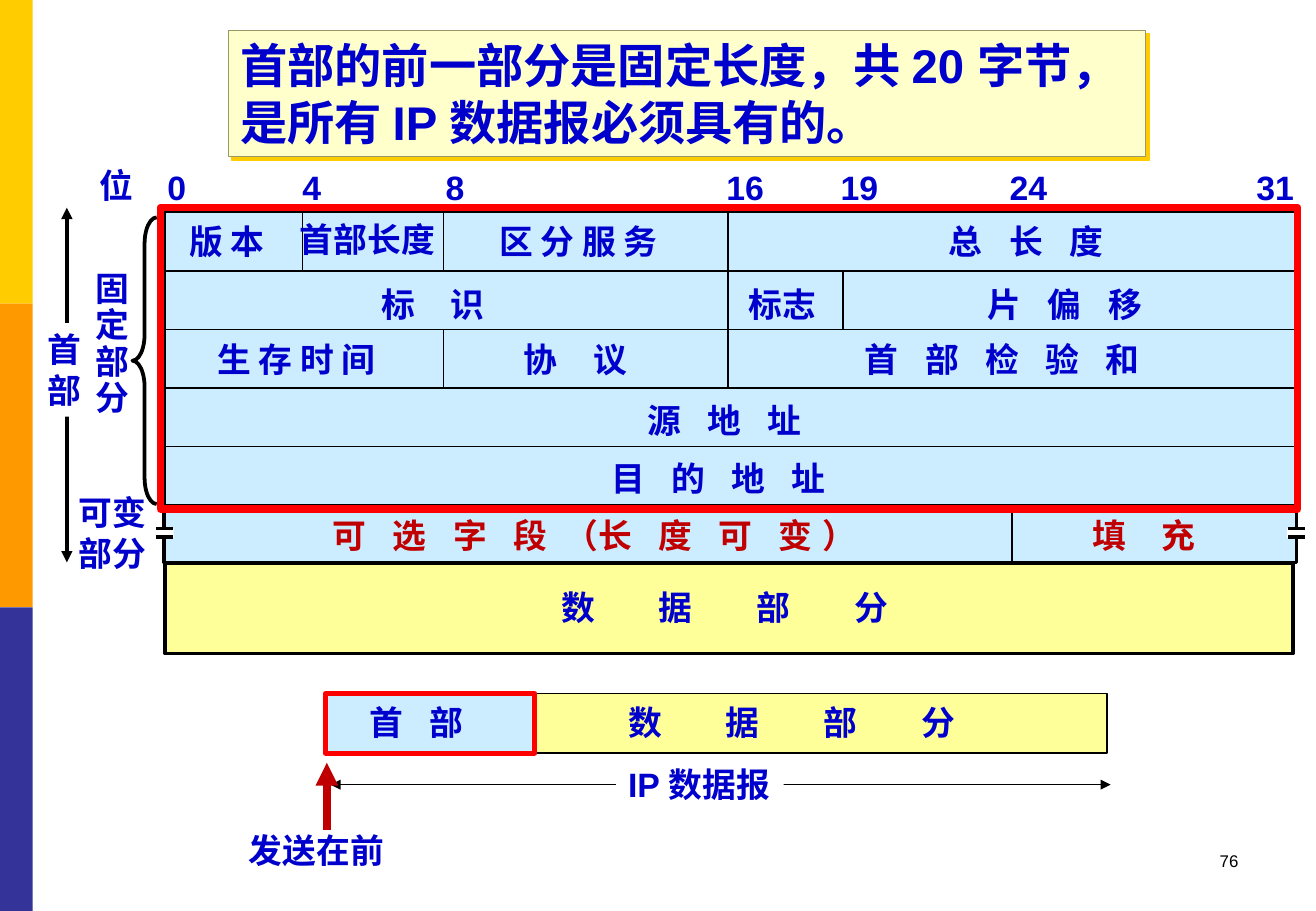
from dataclasses import dataclass

from lxml.etree import SubElement
from pptx import Presentation
from pptx.dml.color import RGBColor
from pptx.enum.shapes import MSO_CONNECTOR as Connector, MSO_SHAPE as Preset
from pptx.enum.text import MSO_ANCHOR as Anchor, PP_ALIGN as Align
from pptx.oxml.ns import qn
from pptx.util import Inches, Pt


@dataclass(frozen=True)
class Theme:
    font: str = "Arial"
    title_size: int = 28
    label_size: int = 20
    number_size: int = 10
    blue: str = "0000CC"
    dark_red: str = "C00000"
    red: str = "FF0000"
    black: str = "000000"
    white: str = "FFFFFF"
    header: str = "CCECFF"
    data: str = "FFFF99"
    title_fill: str = "FFFFCC"
    title_line: str = "999966"
    gold: str = "FFCC00"
    orange: str = "FF9900"
    indigo: str = "333399"


THEME = Theme()

# Extra points after each character of spread-out words
WIDE, WIDER, WIDEST = 5.56, 8.34, 16.68

LABEL_HEIGHT = 0.43
GRID_LEFT, GRID_RIGHT, GRID_TOP, GRID_BOTTOM = 1.34, 10.68, 1.74, 4.64
RULE_TOP, RULE_STEP = 2.23, (4.16 - 2.23) / 4
RULES = [RULE_TOP + row * RULE_STEP for row in range(5)]

BIT_NUMBERS = [("0", 1.28, 0.36), ("4", 2.39, 0.36), ("8", 3.57, 0.36),
               ("16", 5.88, 0.51), ("19", 6.82, 0.51), ("24", 8.21, 0.51),
               ("31", 10.24, 0.51)]

# Column dividers: x, top, bottom
DIVIDERS = [(2.49, GRID_TOP, RULES[0]), (3.65, GRID_TOP, RULES[0]),
            (3.65, RULES[1], RULES[2]), (5.99, GRID_TOP, RULES[2]),
            (6.94, RULES[0], RULES[1]), (8.33, RULES[4], GRID_BOTTOM)]

# Header fields: text, left, top, width, tracking
FIELDS = [("版 本", 1.46, 1.77, 0.84, 0), ("首部长度", 2.37, 1.75, 1.32, 0),
          ("区 分 服 务", 4.01, 1.77, 1.56, 0),
          ("总 长 度", 7.71, 1.77, 1.51, WIDE),
          ("标 识", 3.04, 2.29, 1.07, WIDER), ("标志", 6.06, 2.29, 0.76, 0),
          ("片 偏 移", 8.03, 2.29, 1.51, WIDE),
          ("生 存 时 间", 1.69, 2.74, 1.56, 0),
          ("协 议", 4.21, 2.74, 1.07, WIDER),
          ("首 部 检 验 和", 7.02, 2.74, 2.54, WIDE),
          ("源 地 址", 5.23, 3.24, 1.51, WIDE),
          ("目 的 地 址", 4.93, 3.72, 2.02, WIDE)]


def color(value):
    return RGBColor.from_string(value)


def write_text(shape, text, size=THEME.label_size, fill=THEME.blue, bold=True,
               tracking=0, wrap=False, align=Align.LEFT, spacing=None):
    """Write lines of text; a line may be a list of (words, tracking) runs."""
    frame = shape.text_frame
    frame.word_wrap = wrap
    frame.vertical_anchor = Anchor.TOP
    lines = text.split("\n") if isinstance(text, str) else [text]
    for index, line in enumerate(lines):
        paragraph = frame.paragraphs[0] if index == 0 else frame.add_paragraph()
        paragraph.alignment = align
        if spacing:
            paragraph.line_spacing = spacing
        runs = [(line, tracking)] if isinstance(line, str) else line
        for words, gap in runs:
            run = paragraph.add_run()
            run.text = words
            font = run.font
            font.name, font.size, font.bold = THEME.font, Pt(size), bold
            font.color.rgb = color(fill)
            if gap:
                font._element.set("spc", str(round(gap * 100)))


def add_label(slide, text, left, top, width, height=LABEL_HEIGHT, **style):
    box = slide.shapes.add_textbox(Inches(left), Inches(top), Inches(width), Inches(height))
    write_text(box, text, **style)


def add_block(slide, left, top, width, height, fill=None, line=None, weight=1,
              preset=Preset.RECTANGLE):
    shape = slide.shapes.add_shape(preset, Inches(left), Inches(top),
                                   Inches(width), Inches(height))
    shape.shadow.inherit = False
    if fill:
        shape.fill.solid()
        shape.fill.fore_color.rgb = color(fill)
    else:
        shape.fill.background()
    if line:
        shape.line.color.rgb = color(line)
        shape.line.width = Pt(weight)
    else:
        shape.line.fill.background()
    return shape


def add_line(slide, x1, y1, x2, y2, line=THEME.black, weight=1, arrows=()):
    connector = slide.shapes.add_connector(Connector.STRAIGHT, Inches(x1), Inches(y1),
                                           Inches(x2), Inches(y2))
    connector.line.color.rgb = color(line)
    connector.line.width = Pt(weight)
    properties = connector.element.spPr
    for end in arrows:
        SubElement(properties.find(qn("a:ln")), qn(f"a:{end}"), type="triangle")
    SubElement(properties, qn("a:effectLst"))


def add_break_mark(slide, left, top):
    add_block(slide, left, top, 0.16, 0.08, THEME.white)
    for y in (top, top + 0.07):
        add_line(slide, left + 0.01, y, left + 0.15, y, weight=2)


def add_title(slide):
    title = add_block(slide, 1.88, 0.25, 7.55, 1.04, THEME.title_fill, THEME.title_line, 0.75)
    effects = title.element.spPr.find(qn("a:effectLst"))
    shadow = SubElement(effects, qn("a:outerShdw"), dist=str(Pt(2.8)), dir="2700000",
                        algn="ctr", rotWithShape="0")
    SubElement(shadow, qn("a:srgbClr"), val=THEME.gold)
    write_text(title, "首部的前一部分是固定长度，共 20 字节，是所有 IP 数据报必须具有的。",
               size=THEME.title_size, wrap=True)


def add_header_grid(slide):
    add_block(slide, 1.35, GRID_TOP, 9.32, 2.89, THEME.header, THEME.black, 2)
    add_block(slide, 1.36, GRID_BOTTOM, 9.28, 0.74, THEME.data, THEME.black, 2.25)
    for y in RULES:
        add_line(slide, GRID_LEFT, y, GRID_RIGHT, y)
    for x, top, bottom in DIVIDERS:
        add_line(slide, x, top, x, bottom)
    add_label(slide, "位", 0.72, 1.31, 0.48)
    for number, left, width in BIT_NUMBERS:
        add_label(slide, number, left, 1.32, width)
    for text, left, top, width, tracking in FIELDS:
        add_label(slide, text, left, top, width, tracking=tracking)
    add_label(slide, [("可 选 字 段", WIDE), (" （", 0), ("长 度 可 变）", WIDE)],
              2.64, 4.19, 4.56, fill=THEME.dark_red)
    add_label(slide, "填 充", 8.89, 4.19, 1.07, fill=THEME.dark_red, tracking=WIDER)
    add_label(slide, "数 据 部 分", 4.52, 4.78, 3.45, tracking=WIDEST, wrap=True)
    for left in (1.27, 10.59):
        add_break_mark(slide, left, 4.35)


def add_side_labels(slide):
    add_label(slide, "固\n定\n部\n分", 0.69, 2.19, 0.48, 1.31, spacing=0.9)
    add_label(slide, "可变\n部分", 0.55, 4, 0.76, 0.77)
    add_line(slide, 0.55, 1.71, 0.55, 4.63, weight=2.25, arrows=("headEnd", "tailEnd"))
    header = add_block(slide, 0.29, 2.66, 0.48, 0.77, THEME.white)
    write_text(header, "首\n部")
    brace = add_block(slide, 1.09, 1.79, 0.2, 2.36, line=THEME.black, weight=2.25,
                      preset=Preset.LEFT_BRACE)
    brace.adjustments[0] = 1.08


def add_datagram(slide):
    add_line(slide, 2.72, 6.46, 9.14, 6.46, arrows=("headEnd", "tailEnd"))
    add_block(slide, 4.39, 5.71, 4.72, 0.49, THEME.data, THEME.black)
    add_block(slide, 2.68, 5.71, 1.72, 0.49, THEME.header, THEME.red, 3)
    add_label(slide, "数 据 部 分", 5.07, 5.73, 3.67, tracking=WIDEST, wrap=True)
    add_label(slide, "首 部", 2.94, 5.73, 1, tracking=WIDE)
    name = add_block(slide, 5.07, 6.24, 1.38, LABEL_HEIGHT, THEME.white)
    write_text(name, "IP 数据报", wrap=True)
    add_line(slide, 2.69, 6.83, 2.69, 6.28, THEME.dark_red, 4.5, arrows=("tailEnd",))
    add_label(slide, "发送在前", 1.95, 6.78, 1.32)


def main():
    presentation = Presentation()
    presentation.slide_width, presentation.slide_height = Inches(10.83), Inches(7.5)
    slide = presentation.slides.add_slide(presentation.slide_layouts[6])

    # Colour bands down the left edge
    for index, fill in enumerate((THEME.gold, THEME.orange, THEME.indigo)):
        add_block(slide, 0, index * 2.5, 0.27, 2.5, fill)

    # Header layout, with the fixed part framed in red
    add_header_grid(slide)
    add_side_labels(slide)
    add_block(slide, 1.32, 1.71, 9.36, 2.48, line=THEME.red, weight=4.5)

    # Whole datagram, title and page number
    add_datagram(slide)
    add_title(slide)
    add_label(slide, "76", 7.76, 6.95, 2.53, 0.5, size=THEME.number_size,
              fill=THEME.black, bold=False, wrap=True, align=Align.RIGHT)
    presentation.save("out.pptx")


if __name__ == "__main__":
    main()
